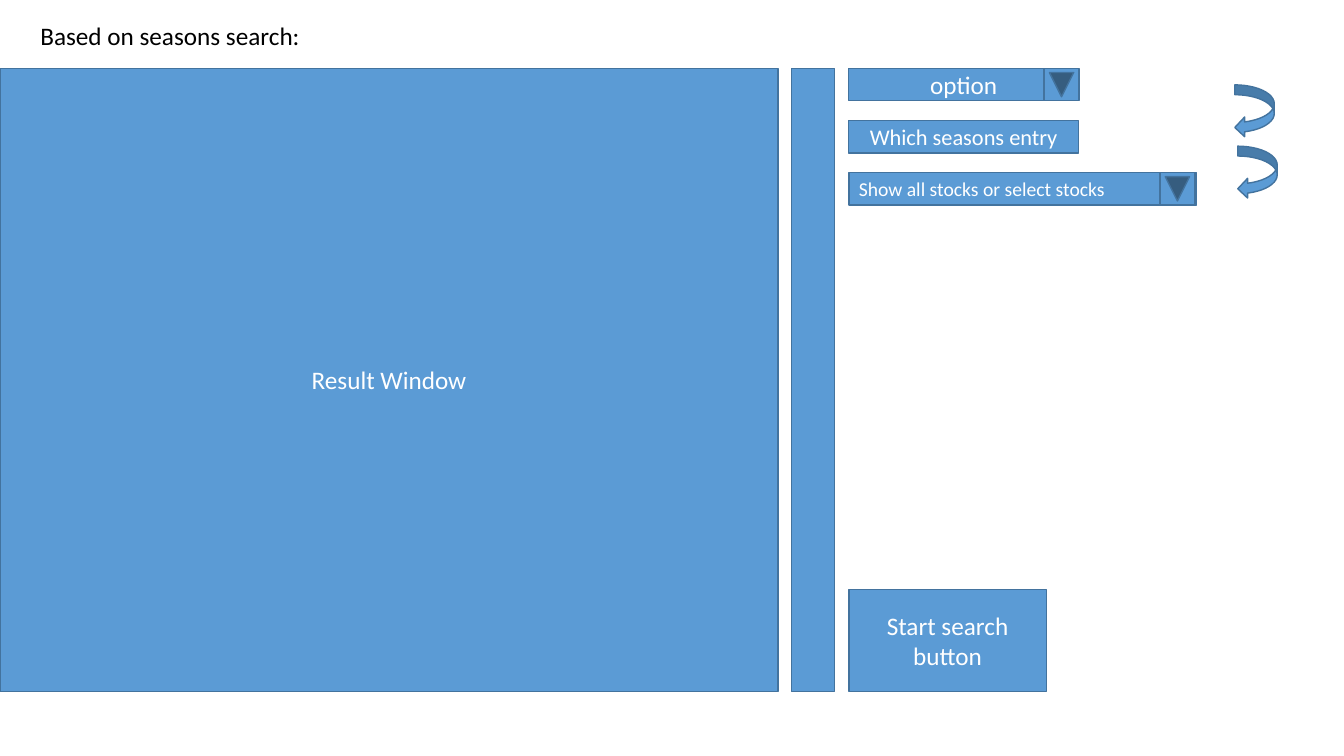
from pptx import Presentation
from pptx.dml.color import RGBColor
from pptx.enum.shapes import MSO_SHAPE
from pptx.enum.text import MSO_ANCHOR, MSO_AUTO_SIZE, PP_ALIGN
from pptx.util import Inches, Pt


def colour(hex_code):
    """Turn a hex string into a colour."""
    return RGBColor.from_string(hex_code)


class SearchScreen:
    """Style and slide of a screen sketch, measured on a 32 by 18 grid."""

    FONT, INK, PAPER = "Calibri", "000000", "FFFFFF"
    FILL, OUTLINE = "5B9BD5", "43739E"
    COLUMNS, ROWS = 32, 18

    def __init__(self, deck):
        """Add a title-only slide to the deck."""
        self.slide = deck.slides.add_slide(deck.slide_layouts[5])
        self.column = deck.slide_width / self.COLUMNS
        self.row = deck.slide_height / self.ROWS

    def place(self, left, top, width, height):
        """Convert grid units to slide lengths."""
        return (round(left * self.column), round(top * self.row),
                round(width * self.column), round(height * self.row))

    def label(self, target, text, size, ink, align, anchor):
        """Set and format the text of a shape."""
        frame = target.text_frame
        frame.text = text
        frame.word_wrap = True
        frame.vertical_anchor = anchor
        paragraph = frame.paragraphs[0]
        paragraph.alignment = align
        paragraph.line_spacing = 1.0
        for run in paragraph.runs:
            run.font.name = self.FONT
            run.font.size = Pt(size)
            run.font.color.rgb = colour(ink)

    def heading(self, text, *box):
        """Move and format the title placeholder."""
        title = self.slide.shapes.title
        title.left, title.top, title.width, title.height = self.place(*box)
        self.label(title, text, 18, self.INK, PP_ALIGN.LEFT, MSO_ANCHOR.TOP)
        title.text_frame.auto_size = MSO_AUTO_SIZE.NONE

    def shape(self, preset, *box):
        """Draw a preset shape in the house style."""
        drawn = self.slide.shapes.add_shape(preset, *self.place(*box))
        drawn.shadow.inherit = False
        drawn.fill.solid()
        drawn.fill.fore_color.rgb = colour(self.FILL)
        drawn.line.color.rgb = colour(self.OUTLINE)
        drawn.line.width = Pt(1)
        return drawn

    def panel(self, *box, text="", size=18, align=PP_ALIGN.CENTER):
        """Draw a rectangle with an optional label."""
        area = self.shape(MSO_SHAPE.RECTANGLE, *box)
        if text:
            self.label(area, text, size, self.PAPER, align, MSO_ANCHOR.MIDDLE)

    def dropdown(self, left, field_top, field_height):
        """Draw a downward button centred on a field's height."""
        width, height = 0.77, 0.84
        top = field_top + (field_height - height) / 2
        button = self.shape(MSO_SHAPE.ACTION_BUTTON_BACK_OR_PREVIOUS,
                            left, top, width, height)
        button.rotation = 270

    def step_arrow(self, left, top):
        """Draw a curved arrow from one field to the next."""
        self.shape(MSO_SHAPE.CURVED_LEFT_ARROW, left, top, 0.94, 1.25)


def main():
    """Build the search screen slide."""
    deck = Presentation()
    deck.slide_width, deck.slide_height = Inches(13.33), Inches(7.5)
    screen = SearchScreen(deck)

    top, window_height = 1.63, 14.83
    controls_left, field_height, field_pitch = 20.21, 0.77, 1.24
    start_height = 2.42

    screen.heading("Based on seasons search:", 0.72, 0.36, 8.11, 0.96)
    screen.panel(0, top, 18.53, window_height, text="Result Window")
    screen.panel(18.84, top, 1.03, window_height)
    screen.panel(controls_left, top + window_height - start_height,
                 4.7, start_height, text="Start search button")

    fields = [
        ("option", 18, 5.47, PP_ALIGN.CENTER, 24.89),
        ("Which seasons entry", 16, 5.47, PP_ALIGN.CENTER, None),
        ("Show all stocks or select stocks", 14, 8.28, PP_ALIGN.LEFT, 27.65),
    ]
    for index, (prompt, size, width, align, button_left) in enumerate(fields):
        field_top = top + index * field_pitch
        screen.panel(controls_left, field_top, width, field_height,
                     text=prompt, size=size, align=align)
        if button_left:
            screen.dropdown(button_left, field_top, field_height)

    for arrow_left, arrow_top in ((29.47, 3.48), (29.4, 2.02)):
        screen.step_arrow(arrow_left, arrow_top)

    deck.save("out.pptx")


if __name__ == "__main__":
    main()
